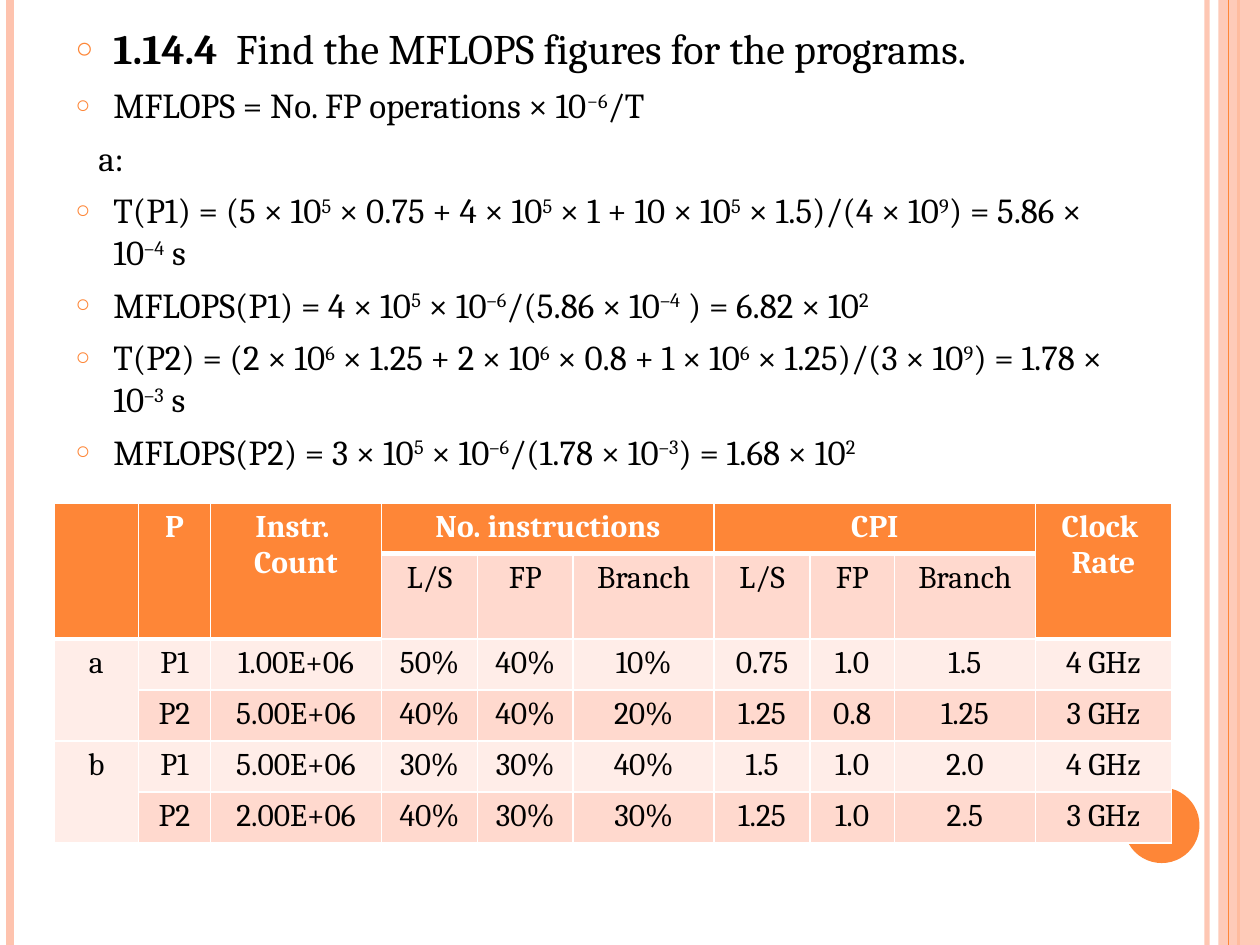
from dataclasses import dataclass

from lxml.etree import SubElement
from pptx import Presentation
from pptx.dml.color import RGBColor
from pptx.enum.shapes import MSO_CONNECTOR as Connector, MSO_SHAPE as Shape
from pptx.enum.text import MSO_AUTO_SIZE as AutoSize, PP_ALIGN as Align
from pptx.oxml.ns import qn
from pptx.util import Inches, Pt


@dataclass(frozen=True)
class Theme:
    font: str = "Cambria"
    accent: str = "FE8637"
    rail: str = "FEC3AE"
    band_dark: str = "FFD9CE"
    band_light: str = "FFEDE8"
    white: str = "FFFFFF"
    ink: str = "000000"
    heading: int = 24
    body: int = 20
    cell: int = 18


@dataclass(frozen=True)
class Box:
    """A region in grid units; the slide is 100 columns by 75 rows."""
    left: float
    top: float
    width: float
    height: float

    def emu(self):
        return [unit(v) for v in (self.left, self.top, self.width, self.height)]


THEME = Theme()
PAGE = Box(0, 0, 100, 75)

# Text between carets is superscript
HEADING = ("1.14.4", "  Find the MFLOPS figures for the programs.")
FORMULAS = [
    "MFLOPS = No. FP operations × 10^−6^/T",
    "a:",
    "T(P1) = (5 × 10^5^ × 0.75 + 4 × 10^5^ × 1 + 10 × 10^5^ × 1.5)/(4 × 10^9^) = 5.86 × 10^–4^ s",
    "MFLOPS(P1) = 4 × 10^5^ × 10^–6^/(5.86 × 10^–4^ ) = 6.82 × 10^2^",
    "T(P2) = (2 × 10^6^ × 1.25 + 2 × 10^6^ × 0.8 + 1 × 10^6^ × 1.25)/(3 × 10^9^) = 1.78 × 10^–3^ s",
    "MFLOPS(P2) = 3 × 10^5^ × 10^–6^/(1.78 × 10^–3^) = 1.68 × 10^2^",
]

COLUMNS = [6.7, 5.7, 13.6, 7.6, 7.6, 11.2, 7.6, 6.7, 11.2, 10.8]
MIX = ["L/S", "FP", "Branch"]
ROWS = [
    ["", "P", "Instr. \nCount", "No. instructions", "", "", "CPI", "", "", "Clock \nRate"],
    ["", "", "", *MIX, *MIX, ""],
    ["a", "P1", "1.00E+06", "50%", "40%", "10%", "0.75", "1.0", "1.5", "4 GHz"],
    ["", "P2", "5.00E+06", "40%", "40%", "20%", "1.25", "0.8", "1.25", "3 GHz"],
    ["b", "P1", "5.00E+06", "30%", "30%", "40%", "1.5", "1.0", "2.0", "4 GHz"],
    ["", "P2", "2.00E+06", "40%", "30%", "30%", "1.25", "1.0", "2.5", "3 GHz"],
]
TALL_HEADERS = (0, 1, 2, 9)
MERGES = [((0, col), (1, col)) for col in TALL_HEADERS]
MERGES += [((0, col), (0, col + 2)) for col in (3, 6)]
MERGES += [((row, 0), (row + 1, 0)) for row in (2, 4)]


def unit(value):
    return Inches(value / 10)


def rgb(color):
    return RGBColor.from_string(color)


def add_span(para, text, size, color=THEME.ink, bold=False, raised=False):
    span = para.add_run()
    span.text = text
    for name, value in {"name": THEME.font, "size": Pt(size), "bold": bold}.items():
        setattr(span.font, name, value)
    span.font.color.rgb = rgb(color)
    if raised:
        span.font._element.set("baseline", "30000")


def set_alpha(fill_parent, percent):
    color = next(fill_parent.iter(qn("a:srgbClr")))
    SubElement(color, qn("a:alpha"), val=str(percent * 1000))


def add_rail(page, box, column, width, color, alpha=100):
    x = unit(box.left + column)
    rail = page.shapes.add_connector(
        Connector.STRAIGHT, x, unit(box.top), x, unit(box.top + box.height))
    rail.line.color.rgb = rgb(color)
    rail.line.width = Pt(width)
    set_alpha(rail._element.spPr, alpha)
    SubElement(rail._element.spPr, qn("a:effectLst"))


def add_block(page, kind, box, color, alpha=100):
    block = page.shapes.add_shape(kind, *box.emu())
    block.shadow.inherit = False
    block.fill.solid()
    block.fill.fore_color.rgb = rgb(color)
    block.line.fill.background()
    set_alpha(block._element.spPr, alpha)


def add_frame(page, box):
    """Vertical rails at both edges and the round page marker."""
    add_rail(page, box, 95.8, 3, THEME.rail, 93)
    add_rail(page, box, 0.8, 4.5, THEME.rail)
    add_rail(page, box, 98.3, 1.5, THEME.accent)
    add_block(page, Shape.RECTANGLE, Box(96.7, box.top, 3.3, box.height), THEME.rail, 87)
    add_rail(page, box, 97.5, 0.75, THEME.accent)
    add_block(page, Shape.OVAL, Box(89.2, 62.5, 6, 6), THEME.accent)


def set_bullet(para, shown):
    props = para._p.get_or_add_pPr()
    left, hang = (3, -3) if shown else (1.8, 0)
    props.set("marL", str(unit(left)))
    props.set("indent", str(unit(hang)))
    if not shown:
        SubElement(props, qn("a:buNone"))
        return
    SubElement(SubElement(props, qn("a:buClr")), qn("a:srgbClr"), val=THEME.accent)
    SubElement(props, qn("a:buSzPct"), val="70000")
    SubElement(props, qn("a:buChar"), char="○")


def add_formulas(page, box):
    """Heading line and bulleted formulas in the body placeholder."""
    body = page.placeholders[1]
    for name, value in zip(("left", "top", "width", "height"), box.emu()):
        setattr(body, name, value)
    frame = body.text_frame
    frame.word_wrap, frame.auto_size = True, AutoSize.NONE
    para = frame.paragraphs[0]
    para.space_before = Pt(0)
    set_bullet(para, True)
    for text, bold in zip(HEADING, (True, False)):
        add_span(para, text, THEME.heading, bold=bold)
    for formula in FORMULAS:
        para = frame.add_paragraph()
        para.space_before = Pt(6)
        set_bullet(para, formula != "a:")
        for index, part in enumerate(formula.split("^")):
            if part:
                add_span(para, part, THEME.body, raised=index % 2 == 1)


def format_cell(cell, text, fill, color, bold, bottom):
    props = cell._tc.get_or_add_tcPr()
    for side, width in {"L": 1, "R": 1, "T": 1, "B": bottom}.items():
        line = SubElement(props, qn(f"a:ln{side}"), w=str(Pt(width)))
        SubElement(SubElement(line, qn("a:solidFill")), qn("a:srgbClr"), val=THEME.white)
    cell.fill.solid()
    cell.fill.fore_color.rgb = rgb(fill)
    for index, words in enumerate(text.split("\n")):
        para = cell.text_frame.add_paragraph() if index else cell.text_frame.paragraphs[0]
        para.alignment = Align.CENTER
        if words:
            add_span(para, words, THEME.cell, color, bold)


def add_program_table(page, box):
    """Instruction mix, CPI and clock rate of each program."""
    table = page.shapes.add_table(len(ROWS), len(COLUMNS), *box.emu()).table
    for column, width in zip(table.columns, COLUMNS):
        column.width = unit(width)
    for row in table.rows:
        row.height = unit(box.height / len(ROWS))
    for first, last in MERGES:
        table.cell(*first).merge(table.cell(*last))
    for r, values in enumerate(ROWS):
        for c, text in enumerate(values):
            header = r == 0 or (r == 1 and c in TALL_HEADERS)
            light = r > 1 and (r % 2 == 0 or c == 0)
            band = THEME.band_light if light else THEME.band_dark
            format_cell(table.cell(r, c), text,
                        fill=THEME.accent if header else band,
                        color=THEME.white if header else THEME.ink,
                        bold=header, bottom=3 if header else 1)


def main():
    deck = Presentation()
    deck.slide_width, deck.slide_height = unit(PAGE.width), unit(PAGE.height)
    page = deck.slides.add_slide(deck.slide_layouts[1])
    title = page.shapes.title._element
    title.getparent().remove(title)
    page.background.fill.solid()
    page.background.fill.fore_color.rgb = rgb(THEME.white)
    add_frame(page, PAGE)
    # The body placeholder exists first; bring it in front of the frame
    body = page.placeholders[1]._element
    body.getparent().append(body)
    add_formulas(page, Box(5, 1.3, 83.6, 69.5))
    add_program_table(page, Box(4.3, 39.9, sum(COLUMNS), 24.3))
    deck.save("out.pptx")


if __name__ == "__main__":
    main()
